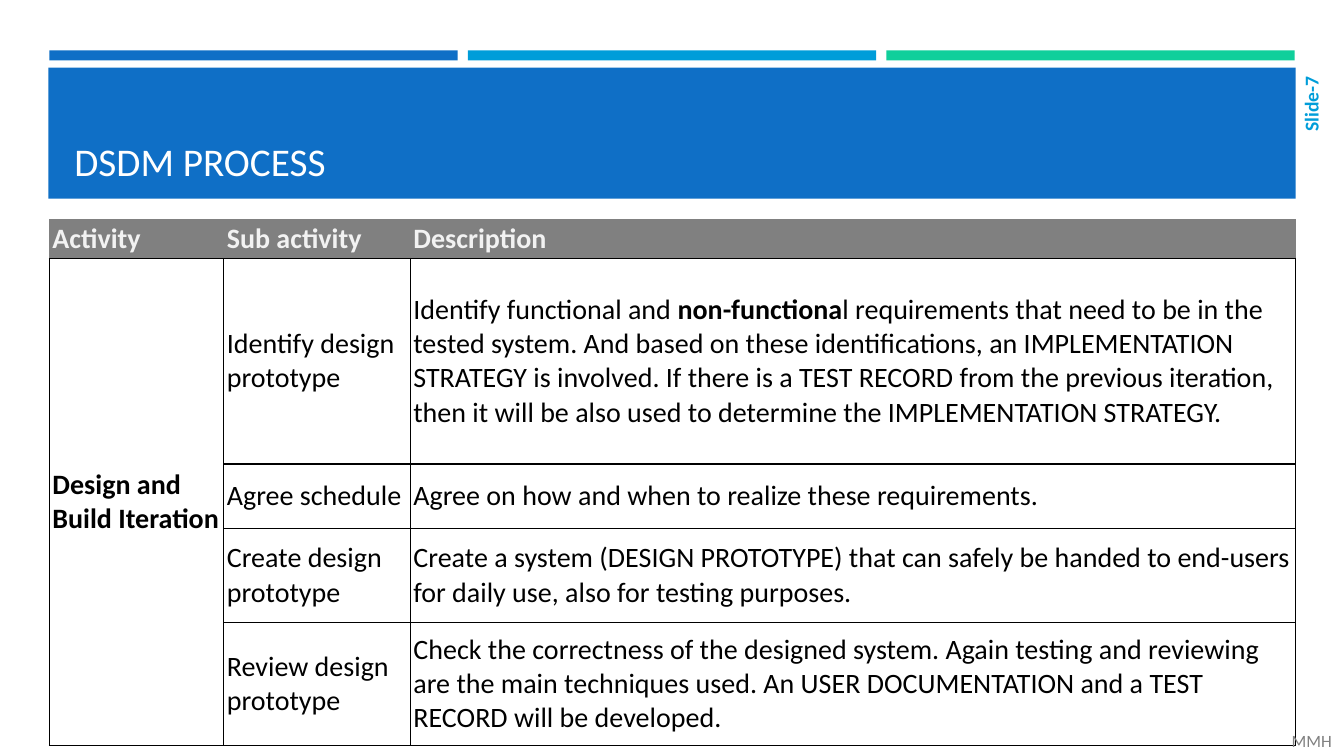
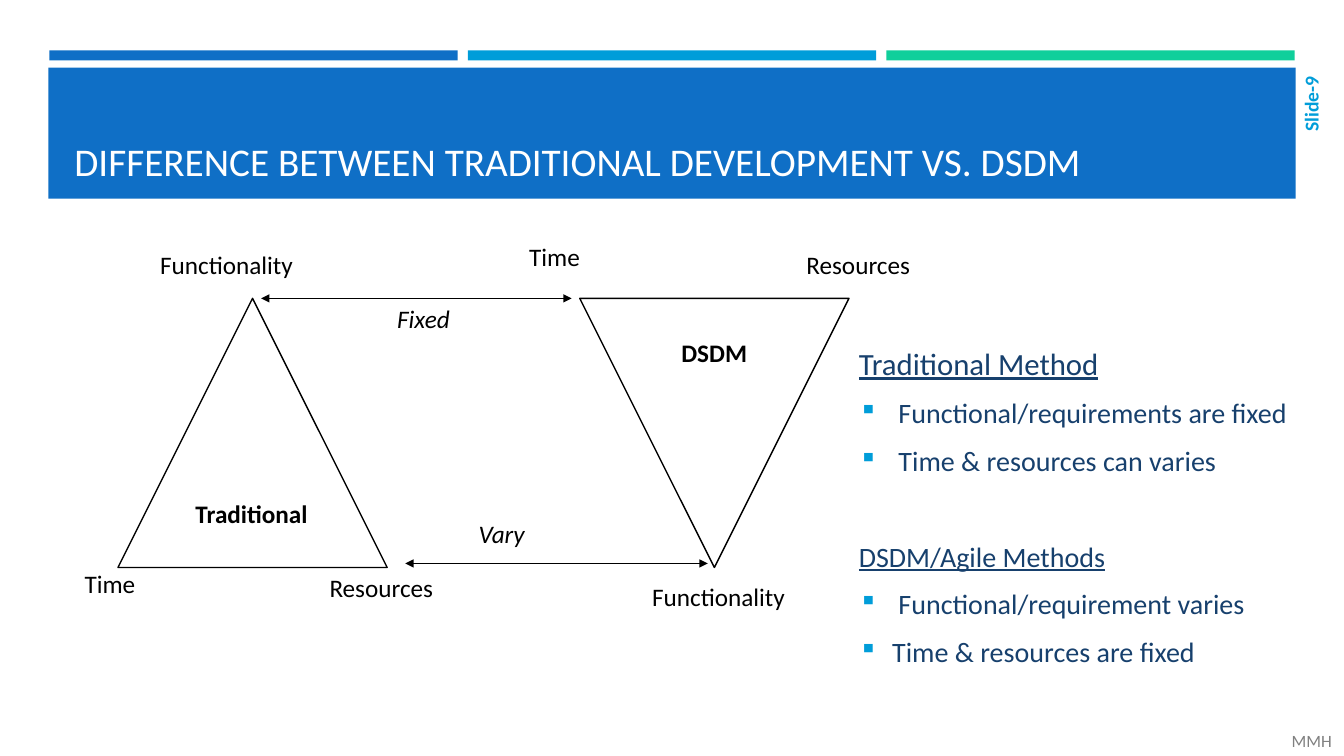
"""Build two slides about the DSDM process and its contrast with traditional development."""
from dataclasses import dataclass

from lxml.etree import SubElement
from pptx import Presentation
from pptx.dml.color import RGBColor
from pptx.enum.shapes import MSO_CONNECTOR, MSO_SHAPE
from pptx.enum.text import MSO_ANCHOR, PP_ALIGN
from pptx.oxml.ns import qn
from pptx.util import Inches, Pt

COLORS = {
    "blue": "0F6FC6", "sky": "009DD9", "green": "10CF9B", "navy": "17406D",
    "gray": "808080", "pale": "F2F2F2", "white": "FFFFFF", "black": "000000",
}
FONT = "Calibri"


@dataclass(frozen=True)
class Span:
    text: str
    size: float = 20
    color: str = "black"
    bold: bool = False
    italic: bool = False
    underline: bool = False


@dataclass(frozen=True)
class Label:
    left: float
    top: float
    width: float
    text: str
    bold: bool = False
    italic: bool = False


@dataclass(frozen=True)
class Arrow:
    left: float
    right: float
    top: float


@dataclass(frozen=True)
class Triangle:
    left: float
    rotation: int


@dataclass(frozen=True)
class Item:
    span: Span
    bullet: bool = True
    before: float = 4


COLUMN_WIDTHS = (1.73, 1.85, 8.78)
ROW_HEIGHTS = (0.39, 2.04, 0.64, 0.93, 1.22)
HEADINGS = ("Activity", "Sub activity", "Description")
ACTIVITY = "Design and Build Iteration"
SUB_ACTIVITIES = (
    ("Identify design prototype", (
        Span("Identify functional and "),
        Span("non-functiona", bold=True),
        Span("l requirements that need to be in the tested system. And based on these "
             "identifications, an IMPLEMENTATION STRATEGY is involved. If there is a TEST "
             "RECORD from the previous iteration, then it will be also used to determine "
             "the IMPLEMENTATION STRATEGY."))),
    ("Agree schedule", (
        Span("Agree on how and when to realize these requirements."),)),
    ("Create design prototype", (
        Span("Create a system (DESIGN PROTOTYPE) that can safely be handed to end-users "
             "for daily use, also for testing purposes."),)),
    ("Review design prototype", (
        Span("Check the correctness of the designed system. Again testing and reviewing "
             "are the main techniques used. An USER DOCUMENTATION and a TEST RECORD will "
             "be developed."),)),
)

TRIANGLES = (Triangle(1.17, 0), Triangle(5.75, 180))
ARROWS = (Arrow(4.02, 7.02, 5.59), Arrow(2.59, 5.67, 2.96))
LABELS = (
    Label(0.74, 5.59, 0.71, "Time"),
    Label(3.17, 5.63, 1.24, "Resources"),
    Label(6.37, 5.72, 1.53, "Functionality"),
    Label(1.49, 2.42, 1.53, "Functionality"),
    Label(5.15, 2.34, 0.71, "Time"),
    Label(7.9, 2.42, 1.24, "Resources"),
    Label(4.65, 5.09, 0.66, "Vary", italic=True),
    Label(3.84, 2.96, 0.73, "Fixed", italic=True),
    Label(1.84, 4.89, 1.32, "Traditional", bold=True),
    Label(6.66, 3.3, 0.86, "DSDM", bold=True),
)
METHODS = (
    Item(Span("Traditional Method", 22, "navy", underline=True), bullet=False),
    Item(Span(" Functional/requirements are fixed", color="navy")),
    Item(Span(" Time & resources can varies", color="navy")),
    Item(Span("DSDM/Agile Methods", color="navy", underline=True), bullet=False, before=38.4),
    Item(Span(" Functional/requirement varies", color="navy")),
    Item(Span("Time & resources are fixed", color="navy")),
)


def rgb(name: str) -> RGBColor:
    return RGBColor.from_string(COLORS[name])


def add_spans(para, *spans: Span) -> None:
    for span in spans:
        run = para.add_run()
        run.text = span.text
        font = run.font
        font.name, font.size = FONT, Pt(span.size)
        font.bold, font.italic, font.underline = span.bold, span.italic, span.underline
        font.color.rgb = rgb(span.color)


def add_box(page, left: float, top: float, width: float, height: float,
            anchor=MSO_ANCHOR.MIDDLE, wrap: bool = True):
    box = page.shapes.add_textbox(Inches(left), Inches(top), Inches(width), Inches(height))
    frame = box.text_frame
    frame.word_wrap = wrap
    frame.vertical_anchor = anchor
    return frame


def add_band(page, left: float, top: float, width: float, height: float, color: str) -> None:
    band = page.shapes.add_shape(MSO_SHAPE.RECTANGLE, Inches(left), Inches(top),
                                 Inches(width), Inches(height))
    band.shadow.inherit = False
    band.fill.solid()
    band.fill.fore_color.rgb = rgb(color)
    band.line.fill.background()


def add_page(deck, title: str):
    page = deck.slides.add_slide(deck.slide_layouts[6])
    for index, color in enumerate(("blue", "sky", "green")):
        add_band(page, 0.49 + 4.15 * index, 0.5, 4.05, 0.1, color)
    add_band(page, 0.48, 0.67, 12.37, 1.3, "blue")
    frame = add_box(page, 0.64, 0.77, 12.06, 1.11, MSO_ANCHOR.BOTTOM)
    add_spans(frame.paragraphs[0], Span(title, 28, "white"))
    return page


def add_footer(page, number: int) -> None:
    frame = add_box(page, 12.87, 0.66, 0.26, 1.12)
    frame.margin_left = frame.margin_right = 0
    frame.margin_top = frame.margin_bottom = Inches(0.05)
    frame._txBody.bodyPr.set("vert", "vert270")
    para = frame.paragraphs[0]
    para.alignment = PP_ALIGN.RIGHT
    add_spans(para, Span(f"Slide-{number}", 14, "sky", bold=True))
    author = add_box(page, 12.63, 7.2, 0.7, 0.3)
    author.margin_left, author.margin_right = Inches(0.18), 0
    add_spans(author.paragraphs[0], Span("MMH", 12.3, "gray"))


def set_borders(cell, visible: str) -> None:
    properties = cell._tc.get_or_add_tcPr()
    for side in "LRTB":
        line = SubElement(properties, qn(f"a:ln{side}"), w=str(Pt(1)))
        if side in visible:
            fill = SubElement(line, qn("a:solidFill"))
            SubElement(fill, qn("a:srgbClr"), val=COLORS["black"])
        else:
            SubElement(line, qn("a:noFill"))


def style_cell(cell, header: bool) -> None:
    cell.margin_left = cell.margin_right = Inches(0.03)
    cell.margin_top = cell.margin_bottom = Inches(0.03)
    cell.vertical_anchor = MSO_ANCHOR.MIDDLE
    set_borders(cell, "B" if header else "LRTB")
    if header:
        cell.fill.solid()
        cell.fill.fore_color.rgb = rgb("gray")
    else:
        cell.fill.background()


def add_activity_table(page) -> None:
    table = page.shapes.add_table(
        len(ROW_HEIGHTS), len(COLUMN_WIDTHS), Inches(0.49), Inches(2.17),
        Inches(sum(COLUMN_WIDTHS)), Inches(sum(ROW_HEIGHTS))).table
    table.first_row = table.horz_banding = False
    for column, width in zip(table.columns, COLUMN_WIDTHS):
        column.width = Inches(width)
    for index, (row, height) in enumerate(zip(table.rows, ROW_HEIGHTS)):
        row.height = Inches(height)
        for cell in row.cells:
            style_cell(cell, header=index == 0)
    table.cell(1, 0).merge(table.cell(len(SUB_ACTIVITIES), 0))
    contents = {(0, index): (Span(text, color="pale", bold=True),)
                for index, text in enumerate(HEADINGS)}
    contents[1, 0] = (Span(ACTIVITY, bold=True),)
    for index, (name, description) in enumerate(SUB_ACTIVITIES, 1):
        contents[index, 1] = (Span(name),)
        contents[index, 2] = description
    for position, spans in contents.items():
        add_spans(table.cell(*position).text_frame.paragraphs[0], *spans)


def add_triangle(page, triangle: Triangle) -> None:
    shape = page.shapes.add_shape(MSO_SHAPE.ISOSCELES_TRIANGLE, Inches(triangle.left),
                                  Inches(2.96), Inches(2.67), Inches(2.67))
    shape.rotation = triangle.rotation
    shape.shadow.inherit = False
    shape.fill.background()
    shape.line.color.rgb = rgb("black")
    shape.line.width = Pt(1)


def add_arrow(page, arrow: Arrow) -> None:
    connector = page.shapes.add_connector(
        MSO_CONNECTOR.STRAIGHT, Inches(arrow.left), Inches(arrow.top),
        Inches(arrow.right), Inches(arrow.top))
    connector.line.color.rgb = rgb("black")
    connector.line.width = Pt(1)
    line = connector.line._get_or_add_ln()
    for end in ("headEnd", "tailEnd"):
        SubElement(line, qn(f"a:{end}"), type="triangle")
    SubElement(connector._element.spPr, qn("a:effectLst"))


def add_label(page, label: Label) -> None:
    frame = add_box(page, label.left, label.top, label.width, 0.4, MSO_ANCHOR.TOP, wrap=False)
    add_spans(frame.paragraphs[0],
              Span(label.text, 18, bold=label.bold, italic=label.italic))


def set_bullet(para) -> None:
    properties = para._p.get_or_add_pPr()
    properties.set("marL", str(Inches(0.33)))
    properties.set("indent", str(-Inches(0.33)))
    color = SubElement(properties, qn("a:buClr"))
    SubElement(color, qn("a:srgbClr"), val=COLORS["sky"])
    SubElement(properties, qn("a:buSzPct"), val="92000")
    SubElement(properties, qn("a:buChar"), char="▪")


def add_method_list(page) -> None:
    frame = add_box(page, 8.42, 3.17, 4.47, 3.71)
    for index, item in enumerate(METHODS):
        para = frame.add_paragraph() if index else frame.paragraphs[0]
        para.space_before, para.space_after = Pt(item.before), Pt(6)
        if item.bullet:
            set_bullet(para)
        add_spans(para, item.span)


def build_process_page(deck) -> None:
    page = add_page(deck, "DSDM PROCESS")
    add_activity_table(page)
    add_footer(page, 7)


def build_difference_page(deck) -> None:
    page = add_page(deck, "DIFFERENCE BETWEEN TRADITIONAL DEVELOPMENT VS. DSDM")
    for triangle in TRIANGLES:
        add_triangle(page, triangle)
    for arrow in ARROWS:
        add_arrow(page, arrow)
    for label in LABELS:
        add_label(page, label)
    add_method_list(page)
    add_footer(page, 9)


def main() -> None:
    deck = Presentation()
    deck.slide_width, deck.slide_height = Inches(13.33), Inches(7.5)
    build_process_page(deck)
    build_difference_page(deck)
    deck.save("out.pptx")


if __name__ == "__main__":
    main()
